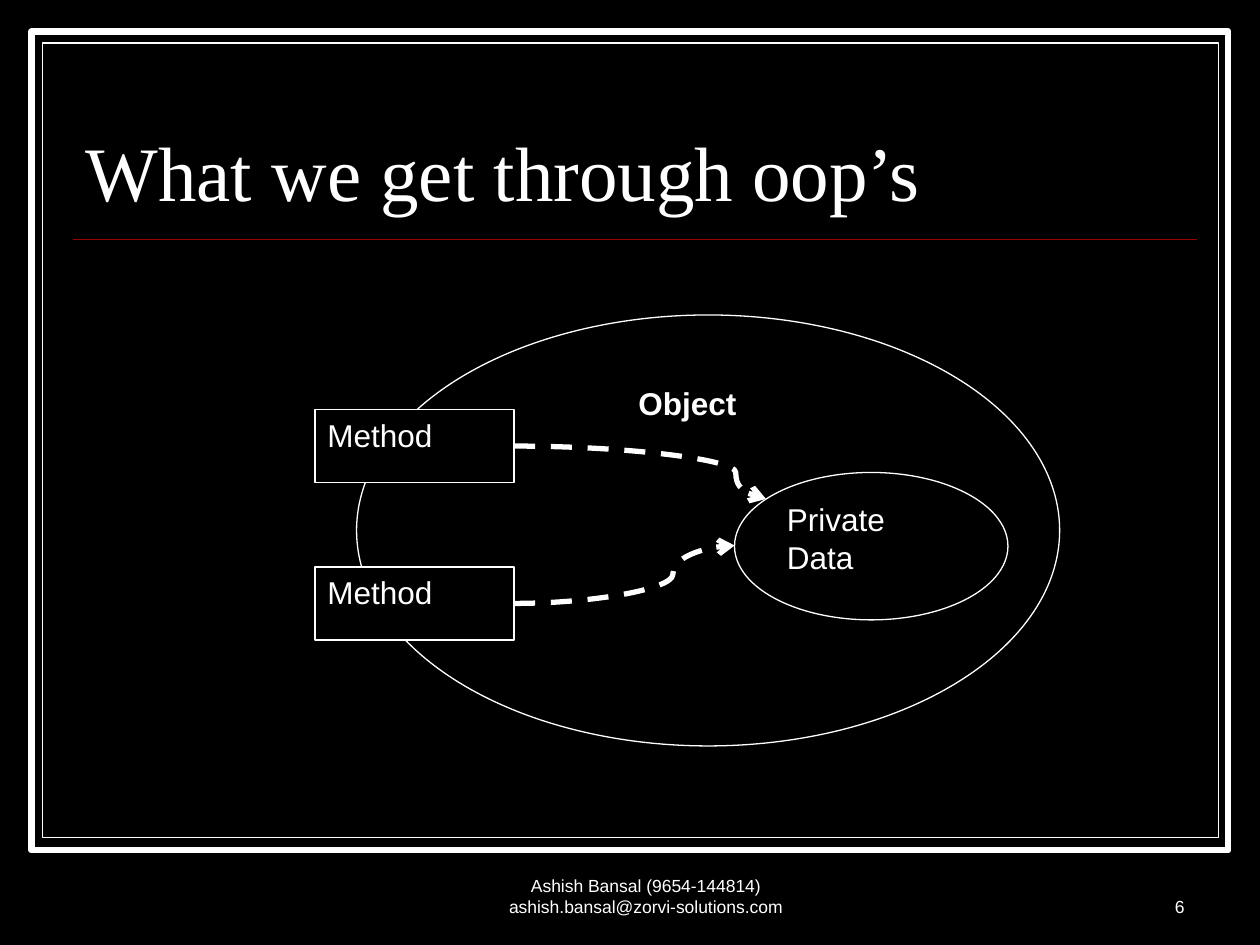
import pptx
import pptx.dml.color
import pptx.enum.dml
import pptx.enum.shapes
import pptx.enum.text
import pptx.util
from lxml import etree
from pptx.oxml.ns import qn

Inches = pptx.util.Inches
Shapes = pptx.enum.shapes.MSO_SHAPE
Connectors = pptx.enum.shapes.MSO_CONNECTOR
Align = pptx.enum.text.PP_ALIGN
Anchor = pptx.enum.text.MSO_ANCHOR


def color(value):
    """Turn a hex string into a colour."""
    return pptx.dml.color.RGBColor.from_string(value)


class SlideBuilder:
    """Hold the style and the current slide."""

    ink, paper, accent = "FFFFFF", "000000", "990000"
    heading_font, body_font = "Times New Roman", "Arial"

    def __init__(self, slide):
        """Take the slide and paint its background."""
        self.slide = slide
        slide.background.fill.solid()
        slide.background.fill.fore_color.rgb = color(self.paper)

    def set_text(self, shape, text, size=18, font=None, bold=False,
                 align=Align.LEFT, anchor=Anchor.TOP):
        """Set and format the text of a shape."""
        frame = shape.text_frame
        frame.text = text
        frame.word_wrap = True
        frame.auto_size = pptx.enum.text.MSO_AUTO_SIZE.NONE
        frame.vertical_anchor = anchor
        paragraph = frame.paragraphs[0]
        paragraph.alignment = align
        for run in paragraph.runs:
            run.font.name = font or self.body_font
            run.font.size = pptx.util.Pt(size)
            run.font.bold = bold
            run.font.color.rgb = color(self.ink)

    def title(self, text, left, top, width, height):
        """Place and fill the title placeholder."""
        title = self.slide.shapes.title
        title.left, title.top = Inches(left), Inches(top)
        title.width, title.height = Inches(width), Inches(height)
        self.set_text(title, text, 44, self.heading_font, anchor=Anchor.BOTTOM)
        title.text_frame.paragraphs[0].line_spacing = 0.8

    def outline(self, kind, left, top, width, height, weight=0.75, filled=False):
        """Add a preset shape with a light outline."""
        shape = self.slide.shapes.add_shape(
            kind, Inches(left), Inches(top), Inches(width), Inches(height))
        shape.shadow.inherit = False
        if filled:
            shape.fill.solid()
            shape.fill.fore_color.rgb = color(self.paper)
        else:
            shape.fill.background()
        shape.line.color.rgb = color(self.ink)
        shape.line.width = pptx.util.Pt(weight)
        return shape

    def line(self, kind, start, end, line_color, weight):
        """Add a connector without a shadow."""
        connector = self.slide.shapes.add_connector(
            kind, *(Inches(value) for value in (*start, *end)))
        connector.line.color.rgb = color(line_color)
        connector.line.width = pptx.util.Pt(weight)
        etree.SubElement(connector.element.spPr, qn("a:effectLst"))
        return connector

    def dashed_arrow(self, start, end, bend):
        """Add a curved dashed arrow that bends at a share of its width."""
        connector = self.line(Connectors.CURVE, start, end, self.ink, 3)
        connector.line.dash_style = pptx.enum.dml.MSO_LINE.DASH
        properties = connector.element.spPr
        etree.SubElement(properties.find(qn("a:ln")), qn("a:tailEnd"), type="arrow")
        geometry = properties.find(qn("a:prstGeom"))
        adjustments = geometry.find(qn("a:avLst"))
        if adjustments is None:
            adjustments = etree.SubElement(geometry, qn("a:avLst"))
        etree.SubElement(adjustments, qn("a:gd"), name="adj1",
                         fmla=f"val {round(bend * 100000)}")

    def footer(self, text, left, width, align):
        """Add a small text box in the footer row."""
        box = self.slide.shapes.add_textbox(
            Inches(left), Inches(6.83), Inches(width), Inches(0.5))
        self.set_text(box, text, 10, align=align, anchor=Anchor.BOTTOM)


def main():
    """Build and save the slide."""
    presentation = pptx.Presentation()
    presentation.slide_width, presentation.slide_height = Inches(10), Inches(7.5)
    builder = SlideBuilder(
        presentation.slides.add_slide(presentation.slide_layouts[5]))

    builder.outline(Shapes.RECTANGLE, 0.25, 0.25, 9.5, 6.5, 3.5)
    builder.outline(Shapes.RECTANGLE, 0.34, 0.34, 9.33, 6.31)
    builder.line(Connectors.STRAIGHT, (0.58, 1.9), (9.5, 1.9), builder.accent, 1)
    builder.title("What we get through oop\u2019s", 0.58, 0.52, 8.92, 1.25)

    whole = builder.outline(Shapes.OVAL, 2.83, 2.5, 5.58, 3.42)
    builder.set_text(whole, "Object", bold=True)
    whole.text_frame.margin_left = Inches(1.42)
    data = builder.outline(Shapes.OVAL, 5.83, 3.75, 2.17, 1.17)
    builder.set_text(data, "Private Data")

    left, width, height = 2.5, 1.58, 0.58
    methods = ((3.25, (6.08, 3.96), 0.88), (4.5, (5.83, 4.33), 0.72))
    for top, target, bend in methods:
        builder.dashed_arrow((left + width, top + height / 2), target, bend)
        method = builder.outline(Shapes.RECTANGLE, left, top, width, height,
                                 filled=True)
        builder.set_text(method, "Method")

    builder.footer("6", 7.42, 2.08, Align.RIGHT)
    builder.footer("Ashish Bansal (9654-144814) ashish.bansal@zorvi-solutions.com",
                   3.54, 3.17, Align.CENTER)
    presentation.save("out.pptx")


main()
